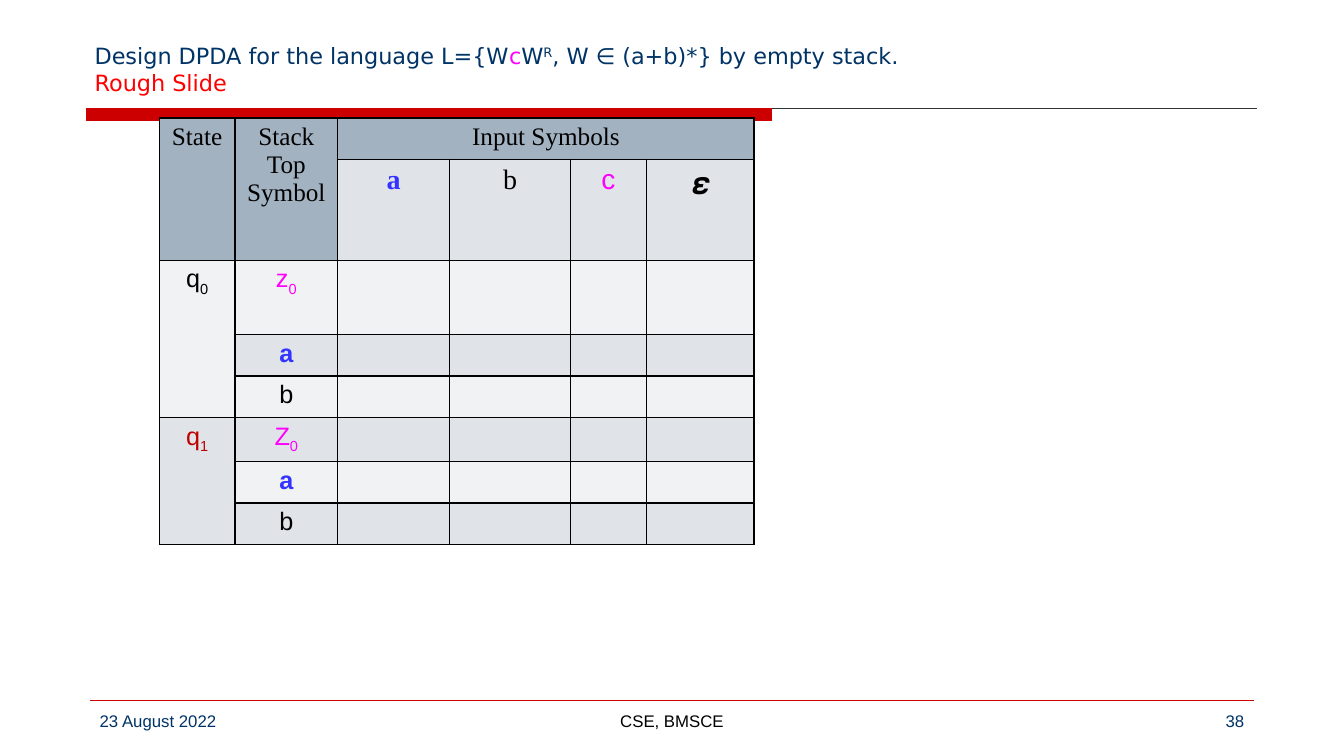
from lxml import etree
from pptx import Presentation, util as u
from pptx.dml.color import RGBColor
from pptx.enum import shapes, text
from pptx.oxml import ns

RED, NAVY, BLACK = "CC0000", "003366", "000000"
MAGENTA, BLUE = "FF00FF", "3333FF"
HEADER, DARK_BAND, LIGHT_BAND = "A3B2C1", "E0E4E9", "F0F2F4"
SERIF, SANS, TITLE_FONT = "Times New Roman", "Arial", "DejaVu Sans"
LEFT, CENTER, RIGHT = (text.PP_ALIGN.LEFT, text.PP_ALIGN.CENTER,
                       text.PP_ALIGN.RIGHT)


def color(value):
    return RGBColor.from_string(value)


def add_text(para, words, size=18, font=SANS, fill=BLACK, bold=False, shift=0):
    """Add one run; shift is the baseline offset in percent."""
    span = para.add_run()
    span.text = words
    span.font.size = u.Pt(size)
    span.font.name = font
    span.font.bold = bold
    span.font.color.rgb = color(fill)
    if shift:
        span.font._element.set("baseline", str(shift * 1000))


def add_box(page, left, top, width, height, anchor=text.MSO_ANCHOR.TOP):
    box = page.shapes.add_textbox(*map(u.Inches, (left, top, width, height)))
    box.text_frame.word_wrap = True
    box.text_frame.vertical_anchor = anchor
    return box.text_frame.paragraphs[0]


def add_line(page, left, right, y, fill):
    line = page.shapes.add_connector(
        shapes.MSO_CONNECTOR.STRAIGHT, *map(u.Inches, (left, y, right, y)))
    line.line.color.rgb = color(fill)
    line.line.width = u.Pt(0.75)
    etree.SubElement(line._element.spPr, ns.qn("a:effectLst"))


def add_title(page, left, top, width, height):
    # Rule with a thick red start
    rule_top = top + height + 0.08
    add_line(page, left + 0.02, left + 11.63, rule_top, "333333")
    bar = page.shapes.add_shape(
        shapes.MSO_SHAPE.RECTANGLE,
        *map(u.Inches, (left + 0.02, rule_top, 6.79, 0.12)))
    bar.shadow.inherit = False
    bar.fill.solid()
    bar.fill.fore_color.rgb = color(RED)
    bar.line.color.rgb = color(RED)
    bar.line.width = u.Pt(0.75)

    # Question and remark
    para = add_box(page, left, top, width, height, text.MSO_ANCHOR.BOTTOM)
    style = dict(size=16, font=TITLE_FONT)
    add_text(para, "Design DPDA for the language L={W", fill=NAVY, **style)
    add_text(para, "c", fill=MAGENTA, **style)
    add_text(para, "W", fill=NAVY, **style)
    add_text(para, "R", fill=NAVY, shift=30, **style)
    add_text(para, ", W ∈ (a+b)*} by empty stack.", fill=NAVY, **style)
    para.add_line_break()
    add_text(para, "Rough Slide", fill="FF0000", **style)


def add_footer(page, left, top, width):
    add_line(page, left, left + width, top, RED)
    side, middle = width * 0.25, 4.22
    for words, x, span_width, align, fill in (
            ("23 August 2022", left, side, LEFT, NAVY),
            ("CSE, BMSCE", left + (width - middle) / 2, middle, CENTER, BLACK),
            ("38", left + width - side, side, RIGHT, NAVY)):
        para = add_box(page, x, top + 0.05, span_width, 0.35)
        para.alignment = align
        add_text(para, words, size=12, fill=fill)


def style_cell(cell, fill):
    properties = cell._tc.get_or_add_tcPr()
    for side in ("lnL", "lnR", "lnT", "lnB"):
        border = etree.SubElement(properties, ns.qn("a:" + side), w="12700")
        solid = etree.SubElement(border, ns.qn("a:solidFill"))
        etree.SubElement(solid, ns.qn("a:srgbClr"), val=BLACK)
    cell.fill.solid()
    cell.fill.fore_color.rgb = color(fill)


def write_cell(cell, words, subscript="", **style):
    """Write centred lines, the last one with an optional subscript."""
    for number, line in enumerate(words.split("\n")):
        frame = cell.text_frame
        para = frame.add_paragraph() if number else frame.paragraphs[0]
        para.alignment = CENTER
        add_text(para, line, **style)
    if subscript:
        add_text(para, subscript, shift=-25, **style)


def add_transitions(page, left, top, widths, heights):
    table = page.shapes.add_table(
        len(heights), len(widths), u.Inches(left), u.Inches(top),
        u.Inches(sum(widths)), u.Inches(sum(heights))).table
    table.first_row = table.horz_banding = False
    for column, width in zip(table.columns, widths):
        column.width = u.Inches(width)
    for row, height in zip(table.rows, heights):
        row.height = u.Inches(height)

    # Banded fills; the header covers the first row and two cells below it
    for i in range(len(heights)):
        for j in range(len(widths)):
            band = DARK_BAND if i % 2 else LIGHT_BAND
            is_header = i == 0 or (i == 1 and j < 2)
            is_second_state = i > 4 and j == 0
            style_cell(table.cell(i, j), HEADER if is_header else
                       DARK_BAND if is_second_state else band)

    # Merged areas: first and last cell
    for first, last in (((0, 0), (1, 0)), ((0, 1), (1, 1)), ((0, 2), (0, 5)),
                        ((2, 0), (4, 0)), ((5, 0), (7, 0))):
        table.cell(*first).merge(table.cell(*last))

    # Headings and input symbols
    for j, words in enumerate(("State", "Stack Top\nSymbol", "Input Symbols")):
        write_cell(table.cell(0, j), words, font=SERIF)
    for j, (symbol, style) in enumerate((
            ("a", dict(font=SERIF, fill=BLUE, bold=True)),
            ("b", dict(font=SERIF)),
            ("c", dict(fill=MAGENTA)),
            ("𝞮", dict(font=SERIF, size=24))), 2):
        write_cell(table.cell(1, j), symbol, **{"size": 20, **style})

    # One block of three stack symbols for each state
    for i, number, fill, bottom in ((2, "0", BLACK, "z"),
                                    (5, "1", "C00000", "Z")):
        write_cell(table.cell(i, 0), "q", number, fill=fill)
        write_cell(table.cell(i, 1), bottom, "0", fill=MAGENTA)
        write_cell(table.cell(i + 1, 1), "a", fill=BLUE, bold=True)
        write_cell(table.cell(i + 2, 1), "b")


def main():
    deck = Presentation()
    deck.slide_width, deck.slide_height = u.Inches(13.33), u.Inches(7.5)
    page = deck.slides.add_slide(deck.slide_layouts[6])
    add_title(page, 0.84, 0.17, 11.67, 0.83)
    add_footer(page, 0.89, 6.95, 11.55)
    add_transitions(page, 1.58, 1.17, (0.75, 1.02, 1.11, 1.2, 0.75, 1.07),
                    (0.41, 0.93, 0.74) + (0.41,) * 5)
    deck.save("out.pptx")


if __name__ == "__main__":
    main()
